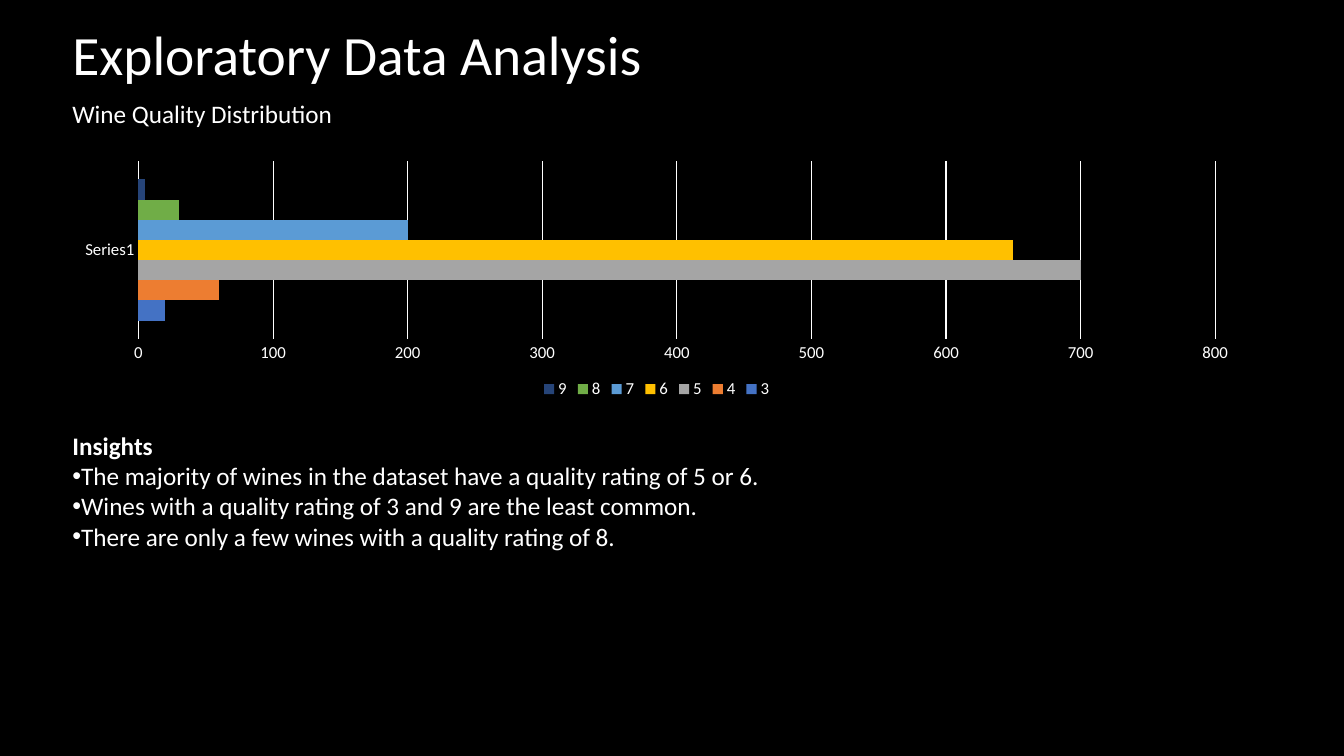
from dataclasses import dataclass

from lxml import etree
from pptx import Presentation
from pptx.chart.data import CategoryChartData
from pptx.dml.color import RGBColor
from pptx.enum.chart import XL_CHART_TYPE, XL_LEGEND_POSITION, XL_TICK_MARK
from pptx.enum.text import MSO_ANCHOR
from pptx.oxml.ns import qn
from pptx.util import Pt

BAR = XL_CHART_TYPE.BAR_CLUSTERED
BOTTOM = XL_LEGEND_POSITION.BOTTOM
NO_TICK = XL_TICK_MARK.NONE
TOP, MIDDLE = MSO_ANCHOR.TOP, MSO_ANCHOR.MIDDLE

FONT = "Calibri"
WHITE, BLACK = "FFFFFF", "000000"
LEFT, WIDTH = 44.6, 850.3


@dataclass
class Line:
    text: str
    size: float = 18
    bold: bool = False
    bullet: bool = False
    spacing: float = 1.0


@dataclass
class TextBlock:
    top: float
    width: float
    height: float
    lines: list[Line]
    anchor: MSO_ANCHOR = TOP


@dataclass
class Rating:
    name: str
    wines: int
    color: str


BLOCKS = [
    TextBlock(28.8, WIDTH, 25.2, [Line("Exploratory Data Analysis", 39.6, spacing=0.9)], MIDDLE),
    TextBlock(67, 236.9, 28.8, [Line("Wine Quality Distribution")]),
    TextBlock(303.8, WIDTH, 116.6, [
        Line("Insights", bold=True),
        Line("The majority of wines in the dataset have a quality rating of 5 or 6.", bullet=True),
        Line("Wines with a quality rating of 3 and 9 are the least common.", bullet=True),
        Line("There are only a few wines with a quality rating of 8.", bullet=True),
    ]),
]

RATINGS = [
    Rating("3", 20, "4472C4"),
    Rating("4", 60, "ED7D31"),
    Rating("5", 700, "A5A5A5"),
    Rating("6", 650, "FFC000"),
    Rating("7", 200, "5B9BD5"),
    Rating("8", 30, "70AD47"),
    Rating("9", 5, "264478"),
]


def rgb(value: str) -> RGBColor:
    return RGBColor.from_string(value)


def style_font(font, size: float, bold: bool = False) -> None:
    font.name = FONT
    font.size = Pt(size)
    font.bold = bold
    font.color.rgb = rgb(WHITE)


def style_line(line) -> None:
    line.color.rgb = rgb(WHITE)
    line.width = Pt(0.75)


def add_text(s, block: TextBlock) -> None:
    sp = s.shapes.add_textbox(Pt(LEFT), Pt(block.top), Pt(block.width), Pt(block.height))
    tf = sp.text_frame
    tf.word_wrap = True
    tf.vertical_anchor = block.anchor
    for i, line in enumerate(block.lines):
        p = tf.add_paragraph() if i else tf.paragraphs[0]
        p.line_spacing = line.spacing
        if line.bullet:
            pPr = p._p.get_or_add_pPr()
            etree.SubElement(pPr, qn("a:buFont"), typeface="Arial")
            etree.SubElement(pPr, qn("a:buChar"), char="•")
        r = p.add_run()
        r.text = line.text
        style_font(r.font, line.size, line.bold)


def add_quality_chart(s, ratings: list[Rating]) -> None:
    data = CategoryChartData()
    data.categories = ["Series1"]
    for rating in ratings:
        data.add_series(rating.name, [rating.wines])
    frame = s.shapes.add_chart(BAR, Pt(43.9), Pt(111.6), Pt(WIDTH), Pt(176.4), data)
    chart = frame.chart
    style_font(chart.font, 10)
    chart.has_title = False

    # Bars
    plot = chart.plots[0]
    plot.gap_width = 182
    plot.vary_by_categories = False
    for series, rating in zip(plot.series, ratings):
        series.format.fill.solid()
        series.format.fill.fore_color.rgb = rgb(rating.color)

    # Axes and gridlines
    for axis in (chart.category_axis, chart.value_axis):
        axis.major_tick_mark = axis.minor_tick_mark = NO_TICK
        style_font(axis.tick_labels.font, 12)
    style_line(chart.category_axis.format.line)
    values = chart.value_axis
    values.minimum_scale, values.maximum_scale, values.major_unit = 0, 800, 100
    values.format.line.fill.background()
    values.has_major_gridlines = True
    style_line(values.major_gridlines.format.line)

    # Legend
    chart.has_legend = True
    chart.legend.position = BOTTOM
    chart.legend.include_in_layout = False
    style_font(chart.legend.font, 12)


def main() -> None:
    prs = Presentation()
    prs.slide_width, prs.slide_height = Pt(960), Pt(540)
    s = prs.slides.add_slide(prs.slide_layouts[6])
    s.background.fill.solid()
    s.background.fill.fore_color.rgb = rgb(BLACK)
    add_quality_chart(s, RATINGS)
    for block in BLOCKS:
        add_text(s, block)
    prs.save("out.pptx")


if __name__ == "__main__":
    main()
